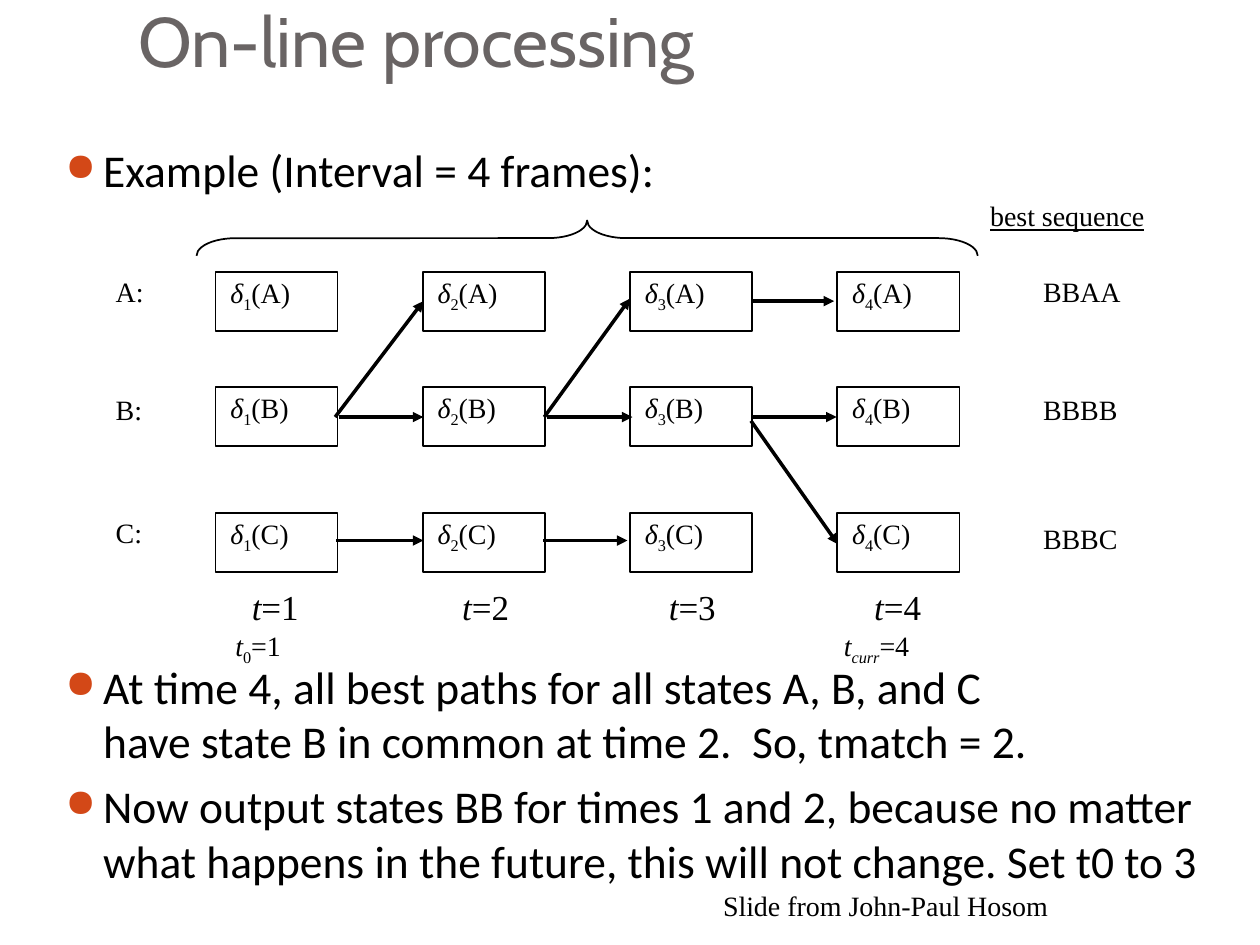
from pptx import Presentation
from pptx.dml.color import RGBColor
from pptx.enum.shapes import MSO_CONNECTOR, MSO_SHAPE
from pptx.enum.text import MSO_ANCHOR
from pptx.oxml.ns import qn
from pptx.util import Inches, Pt
from lxml.etree import SubElement

INK = "000000"
TITLE_GREY = "696464"
BULLET_ORANGE = "D34817"
SERIF = "Times New Roman"


def colour(hex_text):
    return RGBColor.from_string(hex_text)


def apply_format(target, values):
    for name, value in values.items():
        setattr(target, name, value)


class TrellisSlide:
    def __init__(self, slide):
        self.slide = slide
        self.small = {"name": SERIF, "size": Pt(16)}
        self.large = {"name": SERIF, "size": Pt(20)}
        self.title_font = {"name": "Cabin", "size": Pt(40)}
        self.body_font = {"name": "Calibri", "size": Pt(26)}

    def frame(self, left, top, width, height, **formats):
        box = self.slide.shapes.add_textbox(
            Inches(left), Inches(top), Inches(width), Inches(height))
        apply_format(box.text_frame, {"word_wrap": True, **formats})
        return box.text_frame

    def style(self, run, font, ink=INK):
        apply_format(run.font, font)
        run.font.color.rgb = colour(ink)

    def title(self, text, *bounds):
        frame = self.frame(*bounds, vertical_anchor=MSO_ANCHOR.BOTTOM,
                           margin_bottom=Inches(0.1))
        run = frame.paragraphs[0].add_run()
        run.text = text
        self.style(run, self.title_font, TITLE_GREY)

    def label(self, spans, bounds, font=None):
        paragraph = self.frame(*bounds).paragraphs[0]
        for text, *traits in spans:
            run = paragraph.add_run()
            run.text = text
            self.style(run, font or self.small)
            apply_format(run.font, {trait: True for trait in traits if trait != "sub"})
            if "sub" in traits:
                run.font._element.set("baseline", "-25000")

    def bullets(self, items, *bounds):
        frame = self.frame(*bounds)
        for index, item in enumerate(items):
            paragraph = frame.add_paragraph() if index else frame.paragraphs[0]
            paragraph.text = item.replace("\n", "\v")
            paragraph.space_before = Pt(5.8)
            for run in paragraph.runs:
                self.style(run, self.body_font)
            properties = paragraph._p.get_or_add_pPr()
            properties.set("marL", str(Inches(0.3)))
            properties.set("indent", str(Inches(-0.3)))
            bullet_colour = SubElement(properties, qn("a:buClr"))
            SubElement(bullet_colour, qn("a:srgbClr"), val=BULLET_ORANGE)
            SubElement(properties, qn("a:buSzPct"), val="85000")
            SubElement(properties, qn("a:buChar"), char="●")

    def outline(self, kind, *bounds):
        shape = self.slide.shapes.add_shape(kind, *map(Inches, bounds))
        shape.shadow.inherit = False
        shape.fill.background()
        shape.line.color.rgb = colour(INK)
        shape.line.width = Pt(1)
        return shape

    def brace(self, *bounds):
        shape = self.outline(MSO_SHAPE.LEFT_BRACE, *bounds)
        shape.rotation = 90
        shape.adjustments[0] = 1.11
        shape.adjustments[1] = 0.5

    def arrow(self, *ends):
        line = self.slide.shapes.add_connector(
            MSO_CONNECTOR.STRAIGHT, *map(Inches, ends))
        line.line.color.rgb = colour(INK)
        line.line.width = Pt(2)
        SubElement(line.line._get_or_add_ln(), qn("a:tailEnd"), type="triangle")
        SubElement(line._element.spPr, qn("a:effectLst"))

    def state(self, name, time, left, top):
        self.outline(MSO_SHAPE.RECTANGLE, left, top, 0.97, 0.47)
        self.label([("δ", "italic"), (str(time), "sub"), (f"({name})",)],
                   (left + 0.02, top - 0.02, 0.94, 0.5))


def main():
    presentation = Presentation()
    apply_format(presentation, {"slide_width": Inches(10), "slide_height": Inches(7.5)})
    trellis = TrellisSlide(presentation.slides.add_slide(presentation.slide_layouts[6]))

    trellis.title("On-line processing", 1, 0.3, 8.5, 0.45)
    trellis.bullets(["Example (Interval = 4 frames):"], 0.42, 1.08, 9.58, 0.55)
    trellis.bullets([
        "At time 4, all best paths for all states A, B, and C\n"
        "have state B in common at time 2.  So, tmatch = 2.",
        "Now output states BB for times 1 and 2, because no matter\n"
        "what happens in the future, this will not change. Set t0 to 3",
    ], 0.42, 5.18, 9.58, 1.95)
    trellis.label([("Slide from John-Paul Hosom",)], (5.64, 7, 4.33, 0.5))

    rows = [("A", 2.16, 2.13, "BBAA", 2.13),
            ("B", 3.07, 3.07, "BBBB", 3.07),
            ("C", 4.07, 4.04, "BBBC", 4.09)]
    time_lefts = [1.9, 3.57, 5.21, 6.84]
    for time, time_left in enumerate(time_lefts, 1):
        for name, state_top, *_ in rows:
            trellis.state(name, time, 1.71 + 1.645 * (time - 1), state_top)
        trellis.label([("t", "italic"), (f"={time}",)],
                      (time_left, 4.6, 0.7, 0.43), trellis.large)
    for name, _, name_top, sequence, sequence_top in rows:
        trellis.label([(f"{name}:",)], (0.82, name_top, 0.53, 0.5))
        trellis.label([(sequence,)], (8.18, sequence_top, 1.13, 0.5))

    transitions = [
        (2.66, 3.31, 3.36, 2.39), (5.98, 2.39, 6.62, 2.39),
        (2.69, 3.31, 3.36, 3.31), (4.34, 3.31, 5.02, 3.31),
        (5.98, 3.31, 6.64, 3.31), (2.67, 4.29, 3.36, 4.29),
        (4.31, 4.29, 4.98, 4.29), (4.32, 3.31, 5, 2.37),
        (5.96, 3.34, 6.65, 4.32),
    ]
    for transition in transitions:
        trellis.arrow(*transition)

    trellis.label([("best sequence", "underline")], (7.76, 1.53, 2.04, 0.5))
    trellis.label([("t", "italic"), ("0", "sub"), ("=1",)], (1.77, 4.94, 0.76, 0.5))
    trellis.label([("t", "italic"), ("curr", "italic", "sub"), ("=4",)],
                  (6.6, 4.94, 1.03, 0.5))
    trellis.brace(4.52, -1.21, 0.28, 6.2)
    presentation.save("out.pptx")


if __name__ == "__main__":
    main()
